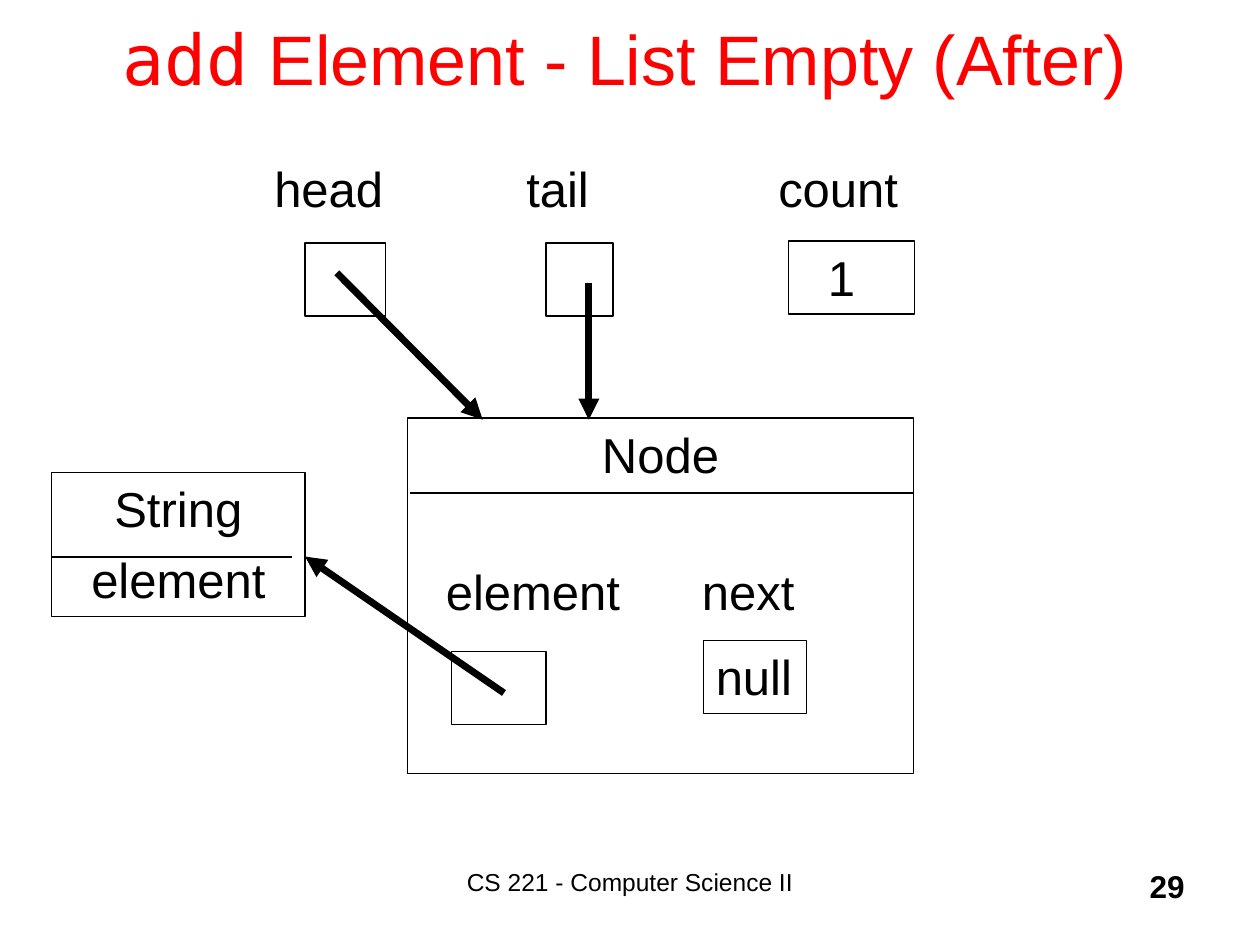
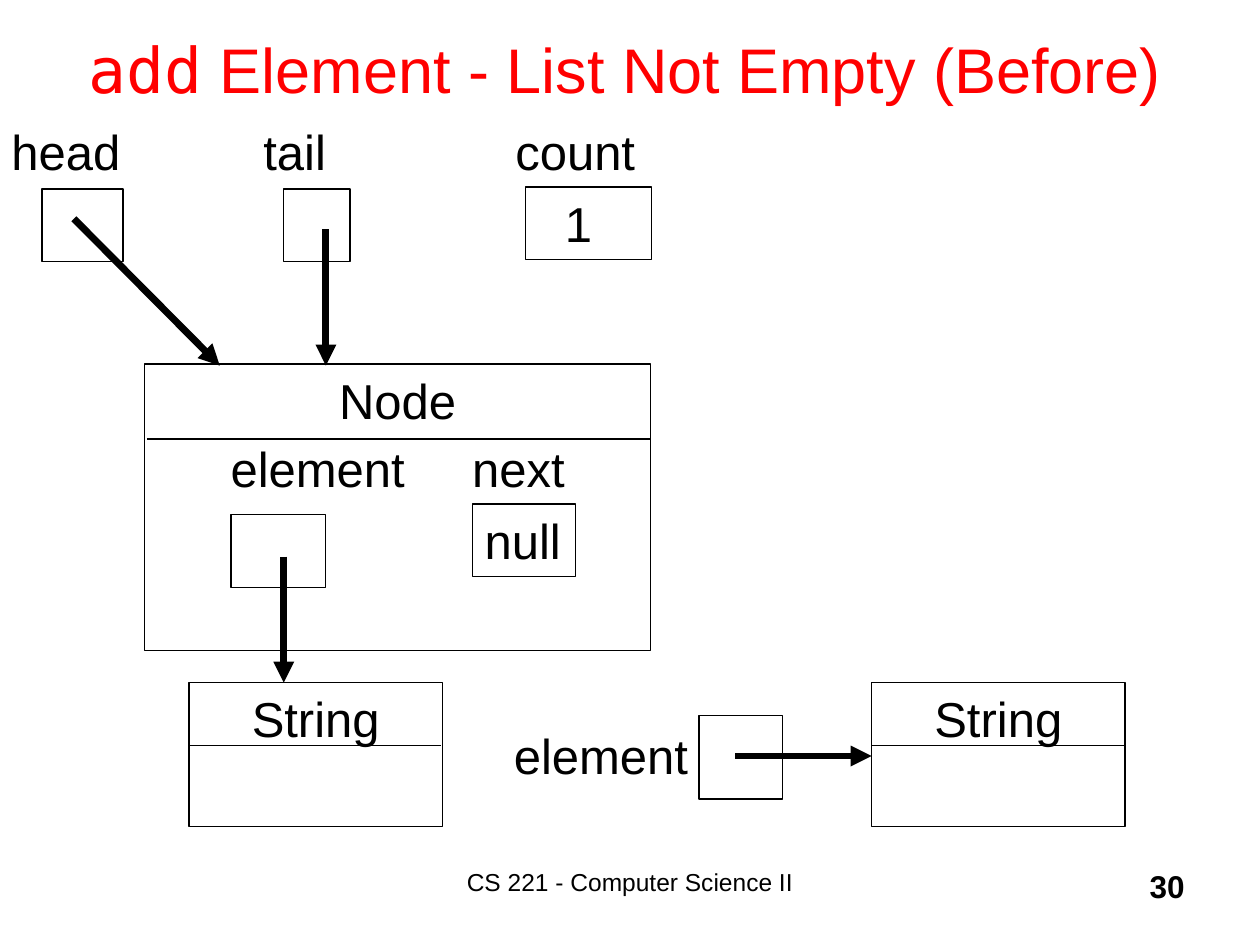
import pptx
import pptx.dml.color
import pptx.enum.shapes
import pptx.enum.text
import pptx.oxml.ns
import pptx.oxml.xmlchemy
import pptx.util

Cm = pptx.util.Cm
Pt = pptx.util.Pt
qn = pptx.oxml.ns.qn
new_element = pptx.oxml.xmlchemy.OxmlElement
ALIGN = pptx.enum.text.PP_ALIGN
ANCHOR = pptx.enum.text.MSO_ANCHOR

INK = "000000"
TITLE_COLOR = "FF0000"
SANS = "Arial"
MONO = "DejaVu Sans Mono"
FOOTER = "CS 221 - Computer Science II"
FIRST_NUMBER = 29
THIN, THICK = 0.75, 4
TEXT_INSET = 0.25
CELL_HEIGHT = 1.47
LABEL_SIZE = (4.4, 1.45)
STRING_SIZE = (5.11, 2.9)
TAB = 5.08

VARIABLES = ["head", "tail", "count"]
POINTER_CELLS = [(0, 1.63), (4.86, 1.35)]
COUNT_CELL = (9.74, -0.04, 2.54)
POINTER_ARROWS = [((0.64, 0.6), (3.58, 3.56)), ((5.72, 0.81), (5.72, 3.56))]
NODE_OFFSET = (2.06, 3.53)
NODE_WIDTH = 10.21

SLIDES = [
    {
        "title": " Element - List Empty (After)",
        "title_box": (1.07, -0.43, 23.06, 3.18),
        "title_size": 40,
        "origin": (6.15, 4.9),
        "label_rise": 1.83,
        "node_height": 7.16,
        "fields": [("element", 8.99, 11.2), ("next", 14.15, 11.2)],
        "element_cell": (9.1, 13.13, 1.91, CELL_HEIGHT),
        "null_cell": (14.18, 12.91, 2.08, CELL_HEIGHT),
        "strings": [(1.04, 9.53, ["String", "element"], 1.7, 4.85)],
        "arrows": [((10.16, 13.97), (6.15, 11.22))],
    },
    {
        "title": " Element - List Not Empty (Before)",
        "title_box": (0.85, -0.21, 23.5, 3.18),
        "title_size": 36,
        "origin": (0.85, 3.81),
        "label_rise": 1.48,
        "node_height": 5.77,
        "fields": [("element", 4.65, 8.71), ("next", 9.52, 8.71), ("element", 10.36, 14.5)],
        "element_cell": (4.66, 10.37, 1.91, CELL_HEIGHT),
        "null_cell": (9.52, 10.16, 2.08, CELL_HEIGHT),
        "strings": [
            (3.81, 13.76, ["String"], 1.27, 5.08),
            (17.57, 13.76, ["String"], 1.27, 5.08),
        ],
        "argument_cell": (14.09, 14.42, 1.69, 1.69),
        "arrows": [((5.72, 11.22), (5.72, 13.76)), ((14.82, 15.24), (17.57, 15.24))],
    },
]


def color(value):
    return pptx.dml.color.RGBColor.from_string(value)


def set_values(target, values):
    for name, value in values.items():
        setattr(target, name, value)


def add_run(paragraph, text, size, font=SANS, ink=INK, bold=False):
    run = paragraph.add_run()
    run.text = text
    set_values(run.font, {"name": font, "size": Pt(size), "bold": bold})
    run.font.color.rgb = color(ink)
    return run


def write_lines(shape, lines, align=ALIGN.LEFT, size=28, wrap=True, bold=False):
    frame = shape.text_frame
    set_values(frame, {"word_wrap": wrap, "vertical_anchor": ANCHOR.TOP})
    for index, line in enumerate(lines):
        paragraph = frame.add_paragraph() if index else frame.paragraphs[0]
        set_values(paragraph, {"alignment": align, "space_before": Pt(6.5 if index else 0)})
        run = add_run(paragraph, line, size, bold=bold)
    return run


def add_text(slide, box, text, **options):
    shape = slide.shapes.add_textbox(*map(Cm, box))
    return write_lines(shape, [text], **options)


def add_label(slide, text, left, top):
    add_text(slide, (left - TEXT_INSET, top, *LABEL_SIZE), text)


def add_box(slide, box, lines=(), **options):
    rectangle = pptx.enum.shapes.MSO_SHAPE.RECTANGLE
    shape = slide.shapes.add_shape(rectangle, *map(Cm, box))
    shape.shadow.inherit = False
    shape.fill.background()
    shape.line.color.rgb = color(INK)
    shape.line.width = Pt(THIN)
    if lines:
        write_lines(shape, lines, **options)
    return shape


def add_line(slide, start, end, width=THIN):
    straight = pptx.enum.shapes.MSO_CONNECTOR.STRAIGHT
    connector = slide.shapes.add_connector(straight, *map(Cm, (*start, *end)))
    connector.line.color.rgb = color(INK)
    connector.line.width = Pt(width)
    connector._element.spPr.append(new_element("a:effectLst"))
    return connector


def add_arrow(slide, start, end):
    connector = add_line(slide, start, end, THICK)
    tail = new_element("a:tailEnd")
    tail.set("type", "triangle")
    connector._element.spPr.find(qn("a:ln")).append(tail)


def add_title(slide, content):
    title = slide.shapes.title
    names = ("left", "top", "width", "height")
    set_values(title, dict(zip(names, map(Cm, content["title_box"]))))
    set_values(title.text_frame, {
        "word_wrap": True,
        "vertical_anchor": ANCHOR.MIDDLE,
        "auto_size": pptx.enum.text.MSO_AUTO_SIZE.NONE,
    })
    paragraph = title.text_frame.paragraphs[0]
    paragraph.alignment = ALIGN.CENTER
    for text, font in (("add", MONO), (content["title"], SANS)):
        add_run(paragraph, text, content["title_size"], font, TITLE_COLOR)


def add_footer(slide, number):
    add_text(slide, (7.83, 17.36, 9.74, 1.27), FOOTER, align=ALIGN.CENTER, size=14)
    run = add_text(slide, (18.84, 17.36, 5.29, 1.27), str(number),
                   align=ALIGN.RIGHT, size=18, bold=True)
    field = run._r
    field.tag = qn("a:fld")
    field.set("id", "{B6F15528-21DE-4FAA-801E-634DDDAF4B2B}")
    field.set("type", "slidenum")


def add_list_variables(slide, origin, label_rise):
    left, top = origin
    for index, name in enumerate(VARIABLES):
        add_label(slide, name, left - 0.62 + index * TAB, top - label_rise)
    for offset, width in POINTER_CELLS:
        add_box(slide, (left + offset, top, width, CELL_HEIGHT))
    offset, drop, width = COUNT_CELL
    count = add_box(slide, (left + offset, top + drop, width, CELL_HEIGHT), ["1"])
    count.text_frame.margin_left = Cm(0.8)


def add_node(slide, content):
    left, top = (a + b for a, b in zip(content["origin"], NODE_OFFSET))
    add_box(slide, (left, top, NODE_WIDTH, content["node_height"]), ["Node"],
            align=ALIGN.CENTER)
    divider = top + 1.51
    add_line(slide, (left + 0.05, divider), (left + NODE_WIDTH, divider))
    add_box(slide, content["element_cell"])
    add_box(slide, content["null_cell"], ["null"], wrap=False)


def add_string(slide, left, top, lines, divider_drop, divider_length):
    add_box(slide, (left, top, *STRING_SIZE), lines, align=ALIGN.CENTER)
    divider = top + divider_drop
    add_line(slide, (left, divider), (left + divider_length, divider))


def add_arrows(slide, content):
    left, top = content["origin"]
    for start, end in POINTER_ARROWS:
        add_arrow(slide, *((left + x, top + y) for x, y in (start, end)))
    for start, end in content["arrows"]:
        add_arrow(slide, start, end)


def main():
    presentation = pptx.Presentation()
    set_values(presentation, {"slide_width": Cm(25.4), "slide_height": Cm(19.05)})
    presentation.element.set("firstSlideNum", str(FIRST_NUMBER))
    title_only = presentation.slide_layouts.get_by_name("Title Only")
    for number, content in enumerate(SLIDES, FIRST_NUMBER):
        slide = presentation.slides.add_slide(title_only)
        add_title(slide, content)
        add_footer(slide, number)
        add_list_variables(slide, content["origin"], content["label_rise"])
        add_node(slide, content)
        for text, left, top in content["fields"]:
            add_label(slide, text, left, top)
        for string in content["strings"]:
            add_string(slide, *string)
        if "argument_cell" in content:
            add_box(slide, content["argument_cell"])
        add_arrows(slide, content)
    presentation.save("out.pptx")


if __name__ == "__main__":
    main()
